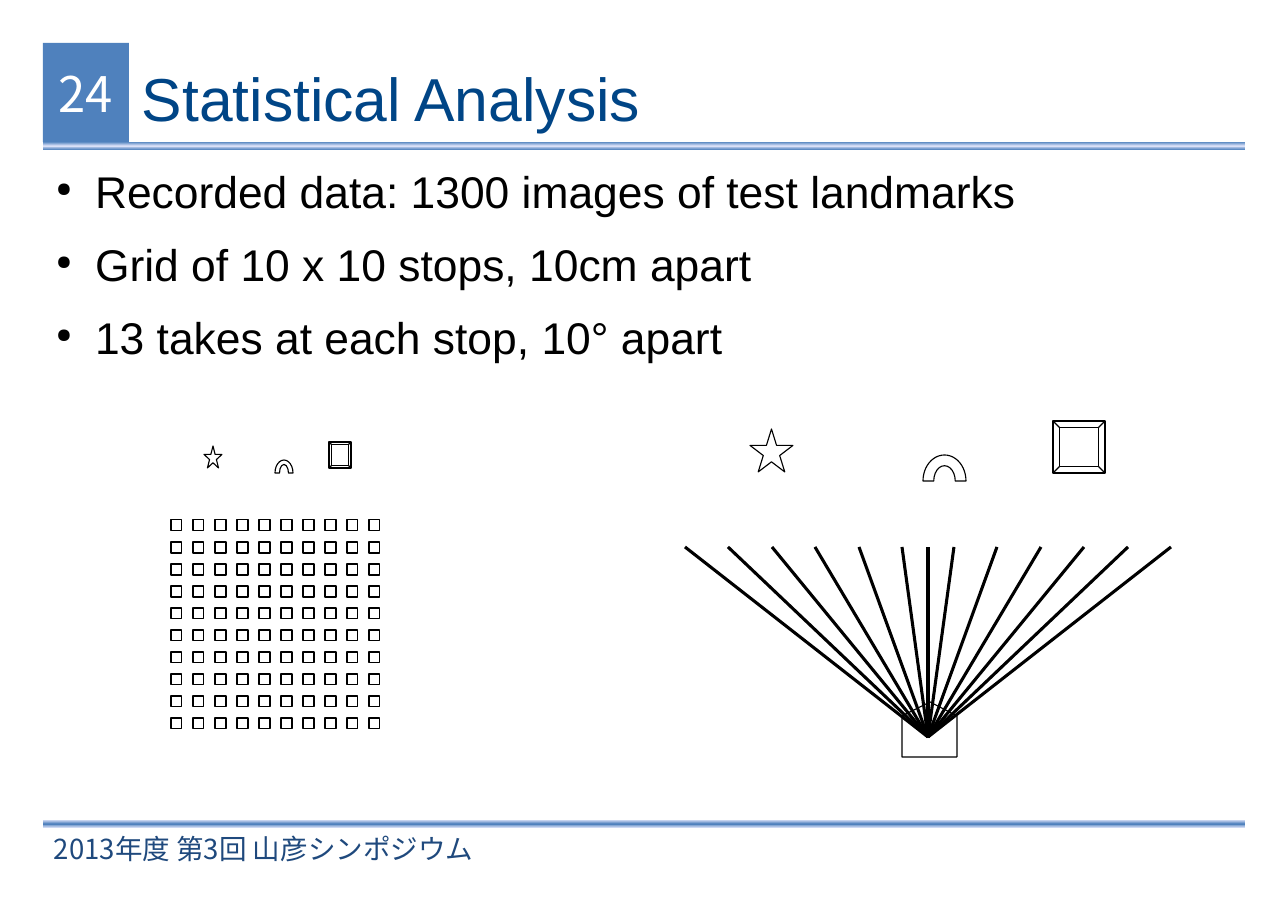
from copy import deepcopy

from lxml import etree
from pptx import Presentation
from pptx.dml.color import RGBColor
from pptx.enum.shapes import MSO_CONNECTOR, MSO_SHAPE
from pptx.enum.text import MSO_ANCHOR, PP_ALIGN
from pptx.oxml.ns import qn
from pptx.util import Pt

RECT, STAR = MSO_SHAPE.RECTANGLE, MSO_SHAPE.STAR_5_POINT
ARCH, FRAME = MSO_SHAPE.BLOCK_ARC, MSO_SHAPE.BEVEL
STRAIGHT = MSO_CONNECTOR.STRAIGHT
TOP, MIDDLE = MSO_ANCHOR.TOP, MSO_ANCHOR.MIDDLE
LEFT, CENTER = PP_ALIGN.LEFT, PP_ALIGN.CENTER

BLUE = RGBColor(0x4F, 0x81, 0xBD)
PALE = RGBColor(0xDA, 0xE1, 0xF8)
NAVY = RGBColor(0x1F, 0x49, 0x7D)
TITLE_BLUE = RGBColor(0x00, 0x45, 0x86)
BLACK = RGBColor(0, 0, 0)
WHITE = RGBColor(255, 255, 255)

PAGE_SIZE = (1288, 911)
NUMBER = "24"
TITLE = "Statistical Analysis"
BULLETS = [
    "Recorded data: 1300 images of test landmarks",
    "Grid of 10 x 10 stops, 10cm apart",
    "13 takes at each stop, 10° apart",
]
FOOTER = "2013年度 第3回 山彦シンポジウム"

NUMBER_STYLE = {"name": "Noto Sans CJK JP", "size": Pt(32)}
FOOTER_STYLE = {"name": "Noto Sans CJK JP", "size": Pt(18)}
TITLE_STYLE = {"name": "Arial", "size": Pt(39.6)}
BODY_STYLE = {"name": "Arial", "size": Pt(29)}

# Bars: place and the colours from edge to edge
BARS = [
    ((43, 142, 1202, 8), (BLUE, PALE, BLUE)),
    ((43, 820, 1202, 8), (PALE, BLUE, PALE)),
]
ADJUSTMENTS = {STAR: (), ARCH: (108, 0, 0.25), FRAME: (0.125,), RECT: ()}
NEAR_LANDMARKS = [
    (STAR, (750, 429, 43, 43)),
    (ARCH, (923, 455, 43, 52)),
    (FRAME, (1053, 421, 52, 52)),
]
FAR_LANDMARKS = [
    (STAR, (204, 446, 18, 22)),
    (ARCH, (275, 460, 18, 26)),
    (FRAME, (329, 442, 22, 26)),
]
ROBOT = [(902, 757), (902, 716), (930, 702), (957, 716), (957, 757)]
APEX = (928, 737)
VIEW_TOP = 547
INNER, OUTER, RAYS_PER_SIDE = 26, 243, 6
GRID_LEFT, GRID_TOP, PITCH, STOP_SIZE, STOPS = 171, 520, 22, 11, 10

EMU_PER_PX = 914400 / 110.2


def px(length):
    return round(length * EMU_PER_PX)


def add_box(shapes, kind, place):
    shape = shapes.add_shape(kind, *map(px, place))
    shape.shadow.inherit = False
    return shape


def outline(shape):
    """Give a black hairline and no fill."""
    shape.fill.background()
    shape.line.color.rgb = BLACK
    shape.line.width = Pt(0)


def add_bar(shapes, place, colors):
    bar = add_box(shapes, RECT, place)
    bar.line.fill.background()
    bar.fill.gradient()
    bar.fill.gradient_angle = 90
    stop_list = bar._element.find(".//" + qn("a:gsLst"))
    stop_list.append(deepcopy(stop_list[0]))
    for index, (stop, color) in enumerate(zip(bar.fill.gradient_stops, colors)):
        stop.position = index / 2
        stop.color.rgb = color


def write(box, lines, style, color, anchor=MIDDLE, align=LEFT, inset=0):
    """Fill the box with one paragraph per line and return the paragraphs."""
    frame = box.text_frame
    frame.word_wrap = True
    frame.vertical_anchor = anchor
    for side in ("left", "right", "top", "bottom"):
        setattr(frame, "margin_" + side, px(inset))
    paras = [frame.paragraphs[0]] + [frame.add_paragraph() for _ in lines[1:]]
    for para, line in zip(paras, lines):
        para.alignment = align
        span = para.add_run()
        span.text = line
        for key, value in style.items():
            setattr(span.font, key, value)
        span.font.color.rgb = color
        east_asian = etree.SubElement(span._r.get_or_add_rPr(), qn("a:ea"))
        east_asian.set("typeface", style["name"])
    return paras


def add_bullet(para):
    para.space_after = Pt(12.8)
    props = para._p.get_or_add_pPr()
    props.set("marL", str(px(52)))
    props.set("indent", str(px(-39)))
    color = etree.SubElement(props, qn("a:buClr"))
    etree.SubElement(color, qn("a:srgbClr")).set("val", str(BLACK))
    etree.SubElement(props, qn("a:buSzPct")).set("val", "45000")
    etree.SubElement(props, qn("a:buChar")).set("char", "●")


def add_outlined(shapes, kind, place):
    shape = add_box(shapes, kind, place)
    for index, value in enumerate(ADJUSTMENTS[kind]):
        shape.adjustments[index] = value
    outline(shape)


def add_ray(shapes, offset):
    start, end = APEX, (APEX[0] + offset, VIEW_TOP)
    ray = shapes.add_connector(STRAIGHT, *map(px, start + end))
    ray.line.color.rgb = BLACK
    ray.line.width = Pt(0)
    etree.SubElement(ray._element.spPr, qn("a:effectLst"))


def add_robot(shapes):
    builder = shapes.build_freeform(*ROBOT[0], scale=EMU_PER_PX)
    builder.add_line_segments(ROBOT[1:], close=True)
    robot = builder.convert_to_shape()
    robot.shadow.inherit = False
    outline(robot)


def add_header_and_footer(shapes):
    for place, colors in BARS:
        add_bar(shapes, place, colors)
    badge = add_box(shapes, RECT, (43, 43, 86, 99))
    badge.fill.solid()
    badge.fill.fore_color.rgb = BLUE
    badge.line.fill.background()
    write(badge, [NUMBER], NUMBER_STYLE, WHITE, align=CENTER)
    footer = shapes.add_textbox(*map(px, (44, 829, 737, 40)))
    write(footer, [FOOTER], FOOTER_STYLE, NAVY, inset=10)
    title = shapes.add_textbox(*map(px, (142, 45, 1070, 105)))
    write(title, [TITLE], TITLE_STYLE, TITLE_BLUE)


def add_view(shapes):
    """Draw the robot, its 13 viewing directions and the landmarks."""
    add_robot(shapes)
    step = (OUTER - INNER) / (RAYS_PER_SIDE - 1)
    offsets = [round(INNER + step * index) for index in range(RAYS_PER_SIDE)]
    for offset in [-value for value in offsets] + [0] + offsets:
        add_ray(shapes, offset)
    for kind, place in NEAR_LANDMARKS:
        add_outlined(shapes, kind, place)


def add_stops(shapes):
    for row in range(STOPS):
        for column in range(STOPS):
            left, top = GRID_LEFT + column * PITCH, GRID_TOP + row * PITCH
            add_outlined(shapes, RECT, (left, top, STOP_SIZE, STOP_SIZE))


def main():
    deck = Presentation()
    deck.slide_width, deck.slide_height = map(px, PAGE_SIZE)
    page = deck.slides.add_slide(deck.slide_layouts[6])
    add_header_and_footer(page.shapes)
    body = page.shapes.add_textbox(*map(px, (43, 164, 1202, 478)))
    for para in write(body, BULLETS, BODY_STYLE, BLACK, anchor=TOP):
        add_bullet(para)
    add_view(page.shapes.add_group_shape().shapes)
    far_group = page.shapes.add_group_shape()
    for kind, place in FAR_LANDMARKS:
        add_outlined(far_group.shapes, kind, place)
    add_stops(page.shapes.add_group_shape().shapes)
    deck.save("out.pptx")


if __name__ == "__main__":
    main()
